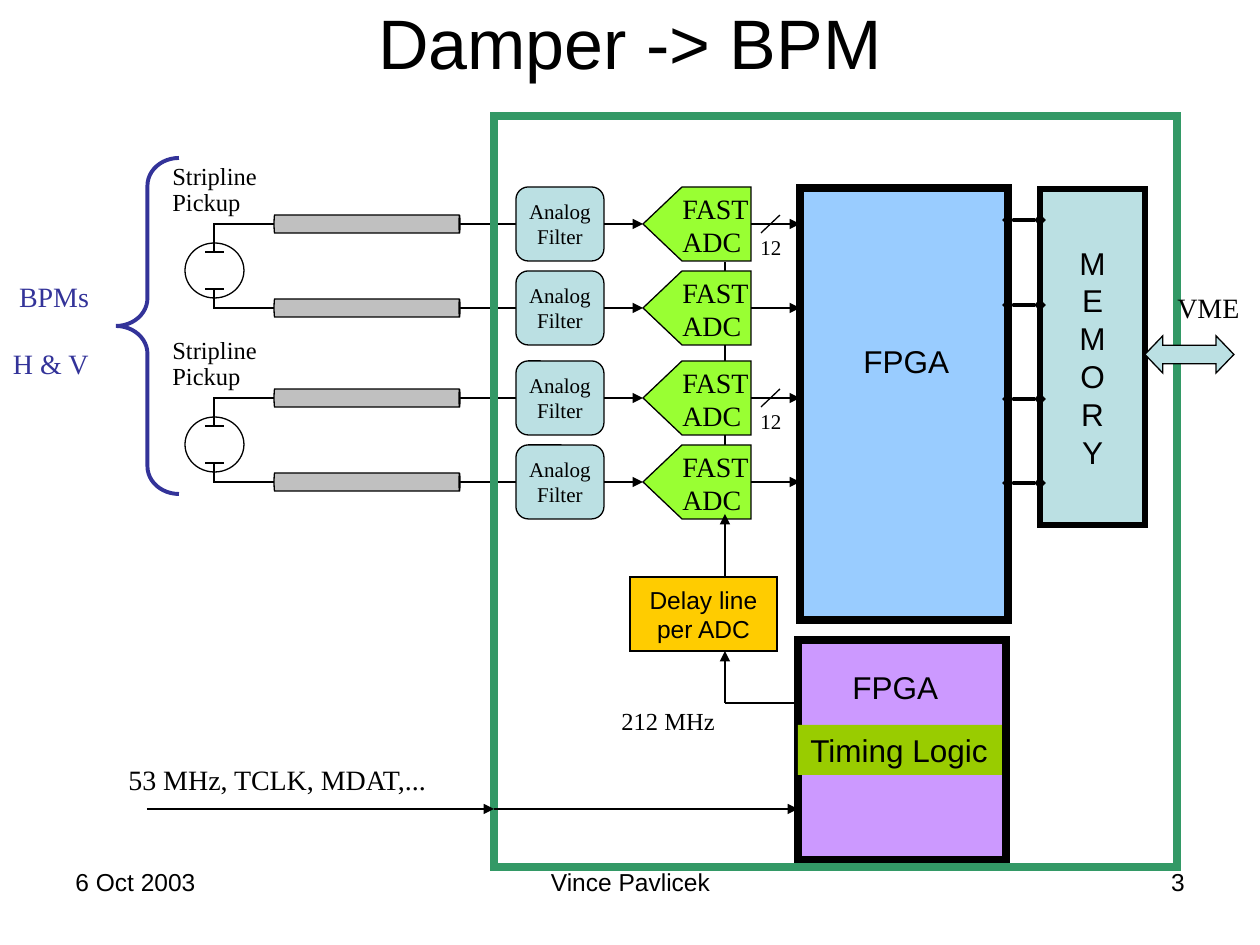
from lxml.etree import SubElement
from pptx import Presentation
from pptx.dml.color import RGBColor
from pptx.enum.shapes import MSO_CONNECTOR, MSO_SHAPE
from pptx.enum.text import MSO_ANCHOR, PP_ALIGN
from pptx.oxml.ns import qn
from pptx.util import Emu, Pt

PX = 914400 // 126
SERIF, SANS = "Times New Roman", "Arial"
BLACK, PALE_BLUE, INDIGO = "000000", "BBE0E3", "333399"
CHANNELS = (224, 308, 398, 482)
PICKUPS = (CHANNELS[:2], CHANNELS[2:])
MEMORY_LINKS = (220, 305, 399, 483)
CLOCK_X = 725


def px(value):
    return Emu(value * PX)


def color(hex_string):
    return RGBColor.from_string(hex_string)


def paint(shape, fill, line, weight):
    """Set fill and a square-cornered outline, without shadow."""
    shape.shadow.inherit = False
    if fill:
        shape.fill.solid()
        shape.fill.fore_color.rgb = color(fill)
    else:
        shape.fill.background()
    if line:
        shape.line.color.rgb = color(line)
        shape.line.width = Pt(weight)
        SubElement(shape._element.spPr.find(qn("a:ln")), qn("a:miter"), lim="800000")
    else:
        shape.line.fill.background()


def write(shape, lines, size, font, align=PP_ALIGN.LEFT, anchor=MSO_ANCHOR.TOP,
          wrap=False, text_color=BLACK, spacing=None, gap=0):
    """Fill a shape with one paragraph per line, gap points apart."""
    frame = shape.text_frame
    frame.word_wrap = wrap
    frame.vertical_anchor = anchor
    for index, line in enumerate(lines):
        paragraph = frame.add_paragraph() if index else frame.paragraphs[0]
        paragraph.text = line
        paragraph.alignment = align
        paragraph.font.size = Pt(size)
        paragraph.font.name = font
        paragraph.font.color.rgb = color(text_color)
        if spacing:
            paragraph.line_spacing = spacing
        if index and gap:
            paragraph.space_before = Pt(gap)


def add_label(slide, box, lines, size, font, **options):
    write(slide.shapes.add_textbox(*map(px, box)), lines, size, font, **options)


def add_box(slide, kind, box, fill=None, line=BLACK, weight=0.75):
    shape = slide.shapes.add_shape(kind, *map(px, box))
    paint(shape, fill, line, weight)
    return shape


def add_outline(slide, points, fill=None, close=False):
    builder = slide.shapes.build_freeform(*points[0], scale=PX)
    builder.add_line_segments(points[1:], close=close)
    paint(builder.convert_to_shape(), fill, BLACK, 0.75)


def add_line(slide, start, end, weight=0.75, head=None, tail=None):
    connector = slide.shapes.add_connector(
        MSO_CONNECTOR.STRAIGHT, *map(px, start + end))
    connector.line.color.rgb = color(BLACK)
    connector.line.width = Pt(weight)
    properties = connector._element.spPr
    outline = properties.find(qn("a:ln"))
    for tag, kind in (("a:headEnd", head), ("a:tailEnd", tail)):
        if kind:
            SubElement(outline, qn(tag), type=kind)
    SubElement(properties, qn("a:effectLst"))
    return connector


def add_arrow(slide, start, end):
    return add_line(slide, start, end, tail="triangle")


def add_cable(slide, y):
    center, length, thickness = 367, 186, 18
    cable = add_box(slide, MSO_SHAPE.CAN,
                    (center - thickness // 2, y - length // 2, thickness, length),
                    "C0C0C0")
    cable.adjustments[0] = 0.06
    cable.rotation = 90


def add_pickup(slide, top, bottom):
    add_label(slide, (160, top - 66, 127, 66), ["Stripline", "Pickup"], 14, SERIF,
              wrap=True, spacing=0.9)
    add_box(slide, MSO_SHAPE.OVAL, (185, top + 19, 59, 55))
    for y, plate in ((top, top + 28), (bottom, bottom - 19)):
        add_outline(slide, [(274, y), (214, y), (214, plate), (224, plate), (205, plate)])


def add_channel(slide, y, input_line):
    """Filter and converter between a cable and the FPGA."""
    top, bottom = y - 37, y + 37
    add_outline(slide, [(751, top), (682, top), (643, y), (682, bottom), (751, bottom)],
                "99FF33", close=True)
    analog_filter = add_box(slide, MSO_SHAPE.ROUNDED_RECTANGLE, (516, top, 88, 74), PALE_BLUE)
    write(analog_filter, ["Analog", "Filter"], 12, SERIF,
          PP_ALIGN.CENTER, MSO_ANCHOR.MIDDLE)
    input_line.end_connect(analog_filter, 1)
    add_arrow(slide, (604, y), (643, y)).begin_connect(analog_filter, 3)
    add_arrow(slide, (751, y), (800, y))
    add_label(slide, (670, y - 39, 100, 81), ["FAST", "ADC"], 16, SERIF)


def add_bus_width(slide, y):
    add_line(slide, (780, y - 9), (761, y + 9))
    add_label(slide, (748, y + 4, 52, 38), ["12"], 12, SERIF)


def add_front_end(slide):
    for pair in PICKUPS:
        add_pickup(slide, *pair)
        add_bus_width(slide, pair[0])
    brace = add_box(slide, MSO_SHAPE.LEFT_BRACE, (116, 158, 63, 336),
                    line=INDIGO, weight=2.25)
    brace.adjustments[0] = 0.44
    add_label(slide, (0, 273, 108, 147), ["BPMs", "H & V "], 16, SERIF,
              align=PP_ALIGN.CENTER, text_color=INDIGO, gap=19.5)


def add_timing(slide):
    add_arrow(slide, (147, 809), (494, 809))
    add_arrow(slide, (494, 809), (798, 809))
    add_line(slide, (798, 703), (CLOCK_X, 703))
    add_arrow(slide, (CLOCK_X, 703), (CLOCK_X, 651))
    add_arrow(slide, (CLOCK_X, 577), (CLOCK_X, 514))
    delay = add_box(slide, MSO_SHAPE.RECTANGLE, (630, 577, 147, 74), "FFCC00")
    write(delay, ["Delay line", "per ADC"], 14, SANS, PP_ALIGN.CENTER, MSO_ANCHOR.MIDDLE)
    logic = add_box(slide, MSO_SHAPE.RECTANGLE, (798, 725, 204, 50), "99CC00", line=None)
    write(logic, ["Timing Logic"], 18, SANS)
    add_label(slide, (840, 662, 120, 50), ["FPGA"], 18, SANS)
    add_label(slide, (609, 703, 130, 39), ["212 MHz"], 14, SERIF, spacing=0.9)
    add_label(slide, (116, 756, 336, 47), ["53 MHz, TCLK, MDAT,..."], 16, SERIF, wrap=True)


def add_memory(slide):
    memory = add_box(slide, MSO_SHAPE.RECTANGLE, (1040, 189, 105, 336), PALE_BLUE, weight=3)
    write(memory, "MEMORY", 18, SANS, PP_ALIGN.CENTER, MSO_ANCHOR.MIDDLE)
    for y in MEMORY_LINKS:
        add_line(slide, (1008, y), (1040, y), 2.25, head="diamond", tail="diamond")
    bus = add_box(slide, MSO_SHAPE.LEFT_RIGHT_ARROW, (1145, 336, 89, 37), PALE_BLUE)
    bus.adjustments[1] = 0.48
    add_label(slide, (1165, 284, 95, 47), ["VME"], 16, SERIF, wrap=True)


def add_title_and_footer(slide):
    add_label(slide, (32, 0, 1196, 84), ["Damper -> BPM"], 40, SANS,
              align=PP_ALIGN.CENTER, anchor=MSO_ANCHOR.MIDDLE, wrap=True)
    for left, width, text, align in ((63, 294, "6 Oct 2003", PP_ALIGN.LEFT),
                                     (431, 399, "Vince Pavlicek", PP_ALIGN.CENTER),
                                     (903, 294, "3", PP_ALIGN.RIGHT)):
        add_label(slide, (left, 861, width, 66), [text], 14, SANS, align=align, wrap=True)


def main():
    presentation = Presentation()
    presentation.slide_width, presentation.slide_height = px(1260), px(945)
    slide = presentation.slides.add_slide(presentation.slide_layouts[6])

    add_box(slide, MSO_SHAPE.RECTANGLE, (798, 640, 208, 220), "CC99FF", weight=4.5)
    input_lines = [add_line(slide, (418, y), (516, y)) for y in CHANNELS]
    add_line(slide, (CLOCK_X, 514), (CLOCK_X, 262))
    add_box(slide, MSO_SHAPE.RECTANGLE, (494, 116, 683, 751), line="339966", weight=4.5)
    add_box(slide, MSO_SHAPE.RECTANGLE, (800, 188, 208, 432), "99CCFF", weight=4.5)
    add_label(slide, (851, 336, 120, 50), ["FPGA"], 18, SANS)

    for y, input_line in zip(CHANNELS, input_lines):
        add_cable(slide, y)
        add_channel(slide, y, input_line)
    add_front_end(slide)
    add_timing(slide)
    add_memory(slide)
    add_title_and_footer(slide)
    presentation.save("out.pptx")


if __name__ == "__main__":
    main()
